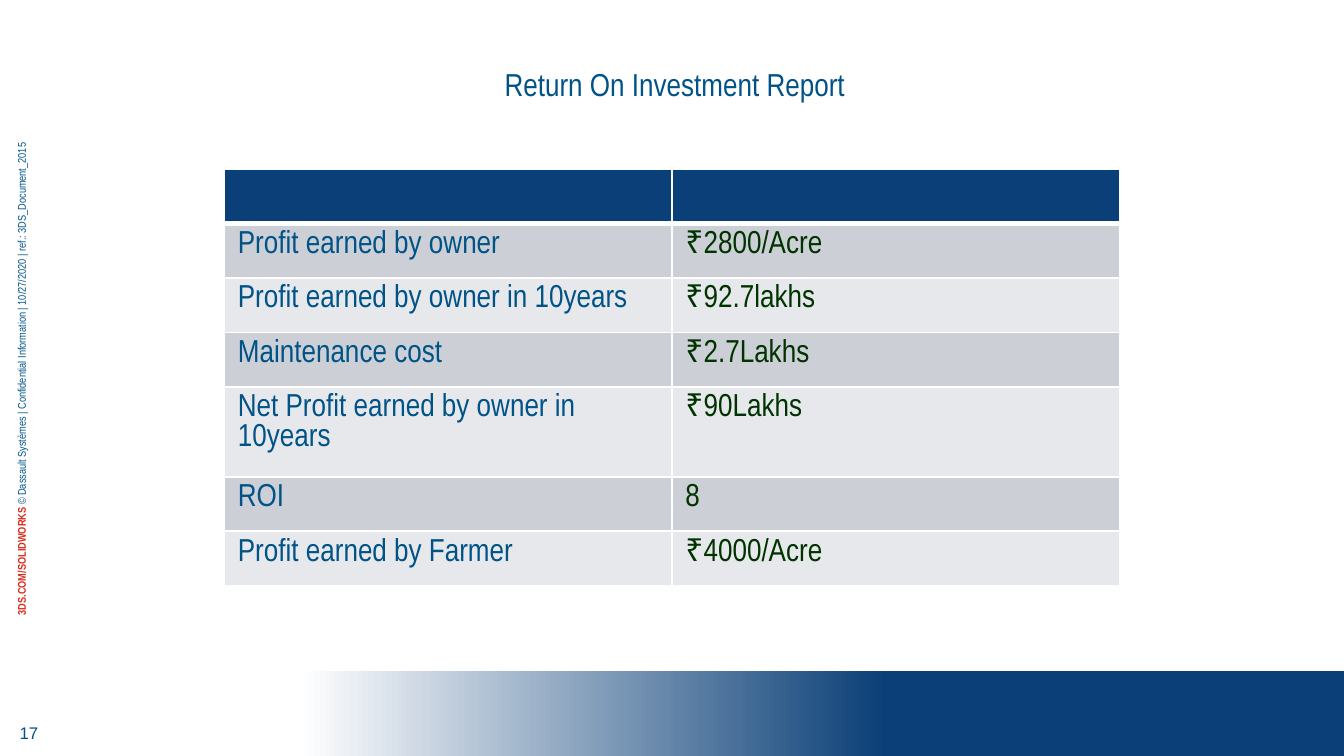
from lxml import etree
from pptx import Presentation
from pptx.dml.color import RGBColor as Color
from pptx.enum.shapes import MSO_SHAPE as Shape
from pptx.enum.text import MSO_ANCHOR as Anchor, PP_ALIGN as Align
from pptx.oxml.ns import qn
from pptx.util import Inches, Pt

COLORS = {"navy": "0B3F77", "blue": "005386", "green": "003300", "red": "DA291C",
          "dark band": "CCCFD6", "light band": "E7E8EC", "white": "FFFFFF"}
NARROW = "Arial Narrow"


def add_run(para, text, size, color, font=NARROW, bold=False):
    span = para.add_run()
    span.text = text
    span.font.size = Pt(size)
    span.font.name = font
    span.font.bold = bold
    span.font.color.rgb = Color.from_string(COLORS[color])


def style_cell(cell, fill, bottom_width=1, top_width=1):
    props = cell._tc.get_or_add_tcPr()
    widths = {"a:lnL": 1, "a:lnR": 1, "a:lnT": top_width, "a:lnB": bottom_width}
    for tag, width in widths.items():
        line = etree.SubElement(props, qn(tag), w=str(Pt(width)))
        solid = etree.SubElement(line, qn("a:solidFill"))
        etree.SubElement(solid, qn("a:srgbClr"), val=COLORS["white"])
    cell.fill.solid()
    cell.fill.fore_color.rgb = Color.from_string(COLORS[fill])


# Widescreen page, 16 by 9
deck = Presentation()
deck.slide_width = Inches(10)
deck.slide_height = deck.slide_width * 9 // 16
page = deck.slides.add_slide(deck.slide_layouts[5])

# Footer band fading from white to navy, down to the bottom edge
band_top = Inches(4.99)
band = page.shapes.add_shape(Shape.RECTANGLE, Inches(1.47), band_top,
                             Inches(8.53), deck.slide_height - band_top)
band.shadow.inherit = False
band.line.fill.background()
band.fill.gradient()
band.fill.gradient_angle = 0
for stop, position, color in zip(band.fill.gradient_stops, (0.09, 0.6), ("white", "navy")):
    stop.position = position
    stop.color.rgb = Color.from_string(COLORS[color])

# Page number and vertical copyright line
SMALL_TEXTS = [
    ((0, 5.26, 0.43, 0.39), 0, Anchor.MIDDLE, [("17", 9, "blue", "Arial", False)]),
    ((-2.66, 2.72, 5.64, 0.2), 270, Anchor.TOP,
     [("3DS.COM/SOLIDWORKS ", 6, "red", NARROW, True),
      ("© Dassault Systèmes | Confidential Information | 10/27/2020 | "
       "ref.: 3DS_Document_2015", 6, "blue", NARROW, False)]),
]
for place, rotation, anchor, spans in SMALL_TEXTS:
    box = page.shapes.add_textbox(*[Inches(length) for length in place])
    box.rotation = rotation
    box.text_frame.word_wrap = True
    box.text_frame.vertical_anchor = anchor
    para = box.text_frame.paragraphs[0]
    para.alignment = Align.CENTER
    for span in spans:
        add_run(para, *span)

# Title
title = page.shapes.title
title.left, title.top = Inches(0.45), Inches(0.43)
title.width, title.height = Inches(9.09), Inches(0.39)
title.text_frame.vertical_anchor = Anchor.MIDDLE
para = title.text_frame.paragraphs[0]
para.alignment = Align.CENTER
add_run(para, " Return On Investment Report", 17, "blue")

# Return on investment table, with an empty header row
ROWS = [
    ("", ""),
    ("Profit earned by owner", "₹2800/Acre"),
    ("Profit earned by owner in 10years", "₹92.7lakhs"),
    ("Maintenance cost", "₹2.7Lakhs"),
    ("Net Profit earned by owner in 10years", "₹90Lakhs"),
    ("ROI", "8"),
    ("Profit earned by Farmer", "₹4000/Acre"),
]
TABLE_HEIGHT, TALL_ROW_HEIGHT, TALL_ROW = 3.1, 0.67, 4
ROW_HEIGHT = (TABLE_HEIGHT - TALL_ROW_HEIGHT) / (len(ROWS) - 1)
table = page.shapes.add_table(len(ROWS), 2, Inches(1.67), Inches(1.26),
                              Inches(6.66), Inches(TABLE_HEIGHT)).table
for row_index, texts in enumerate(ROWS):
    height = TALL_ROW_HEIGHT if row_index == TALL_ROW else ROW_HEIGHT
    table.rows[row_index].height = Inches(height)
    for column_index, text in enumerate(texts):
        cell = table.cell(row_index, column_index)
        if row_index == 0:
            style_cell(cell, "navy", bottom_width=3)
            continue
        style_cell(cell, "dark band" if row_index % 2 else "light band",
                   top_width=3 if row_index == 1 else 1)
        add_run(cell.text_frame.paragraphs[0], text, 17, ("blue", "green")[column_index])

deck.save("out.pptx")
